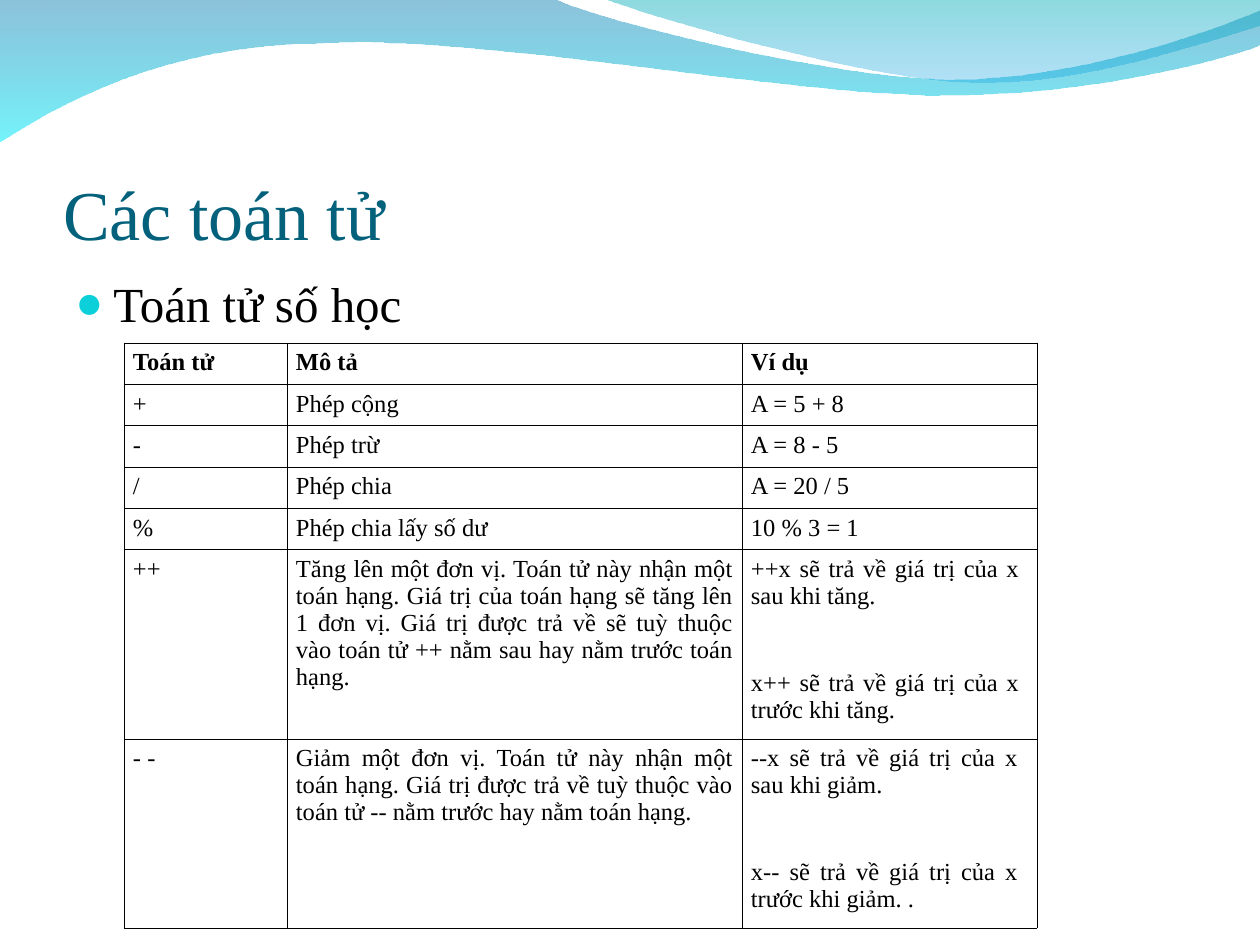
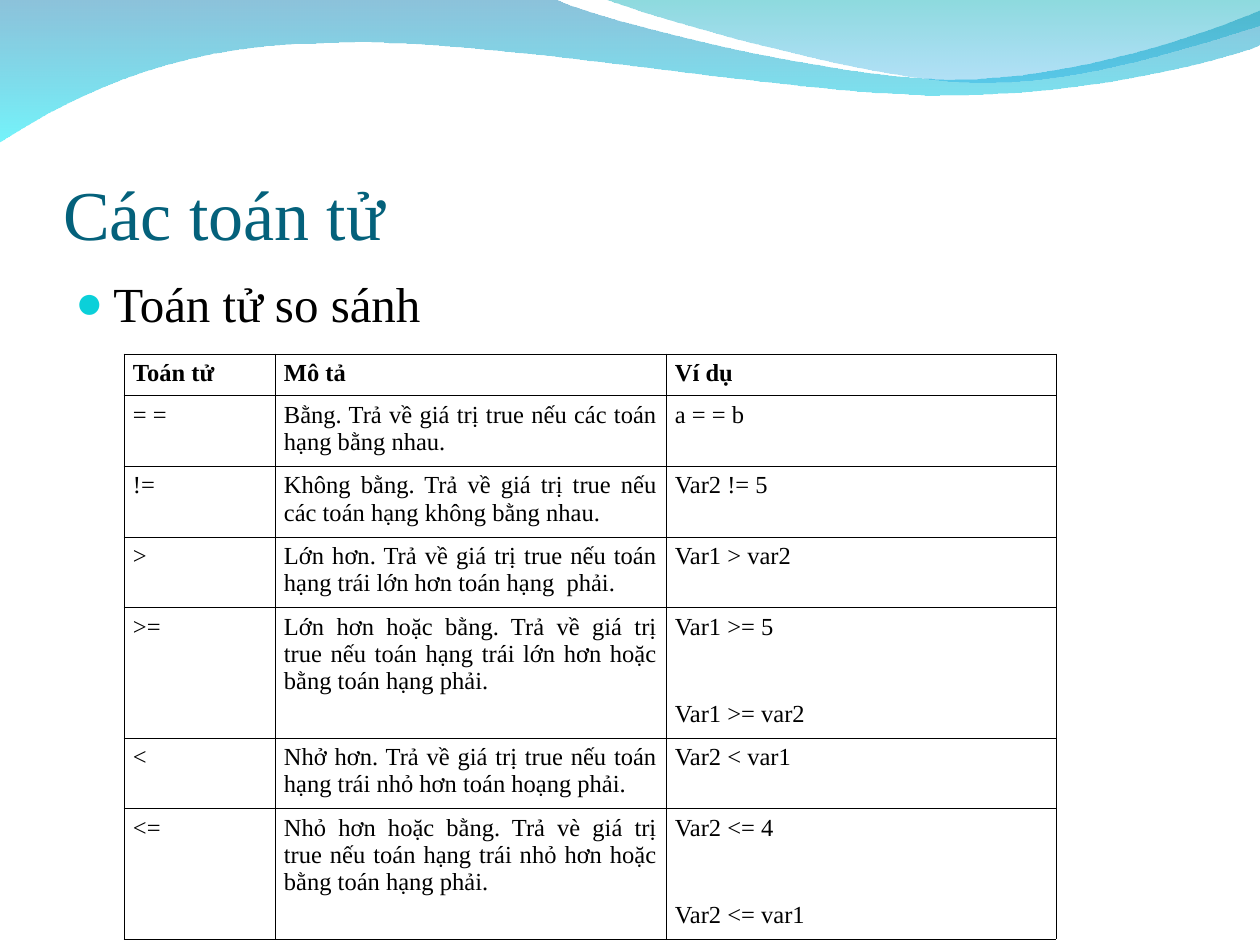
from lxml.etree import SubElement
from pptx import Presentation
from pptx.dml.color import RGBColor
from pptx.enum.text import MSO_ANCHOR, MSO_AUTO_SIZE, PP_ALIGN
from pptx.oxml import parse_xml
from pptx.oxml.ns import nsdecls, qn
from pptx.util import Emu, Pt

EMU_PER_PX = 914400 / 126
FONT = "Times New Roman"
BULLET_FONT = "Arial"
BLACK = "000000"
TITLE_COLOR = "04617B"
BULLET_COLOR = "0BD0D9"
TITLE = "Các toán tử"
HEADER = ("Toán tử", "Mô tả", "Ví dụ")
TABLE_LEFT = 124
EXAMPLE_GAP = 34

LOWER_WAVE = [
    [(0, -1)],
    [(554, -1)],
    [(600, 21), (837, 79), (955, 79)],
    [(1075, 79), (1207, 33), (1260, 11)],
    [(1261, 45)],
    [(1239, 55), (1096, 96), (940, 95)],
    [(784, 95), (481, 35), (324, 43)],
    [(163, 44), (58, 105), (-1, 142)],
    [(0, -1)],
]
UPPER_WAVE = [
    [(604, -1)],
    [(641, 14), (859, 78), (969, 82)],
    [(1079, 87), (1211, 40), (1260, 26)],
    [(1260, 0)],
    [(604, -1)],
]
WAVES = [
    (LOWER_WAVE, [("0079AF", 45), ("00EBF8", 55)]),
    (UPPER_WAVE, [("00ADB6", 45), ("009BE5", 30)]),
]

ARITHMETIC_ROWS = [
    ("+", "Phép cộng", "A = 5 + 8"),
    ("-", "Phép trừ", "A = 8 - 5"),
    ("/", "Phép chia", "A = 20 / 5"),
    ("%", "Phép chia lấy số dư", "10 % 3 = 1"),
    ("++",
     "Tăng lên một đơn vị. Toán tử này nhận một toán hạng. Giá trị của toán hạng sẽ tăng lên "
     "1 đơn vị. Giá trị được trả về sẽ tuỳ thuộc vào toán tử ++ nằm sau hay nằm trước toán hạng.",
     "++x sẽ trả về giá trị của x  sau khi tăng.\nx++ sẽ trả về giá trị của x  trước khi tăng."),
    ("- -",
     "Giảm một đơn vị. Toán tử này nhận một toán hạng. Giá trị được trả về tuỳ thuộc vào "
     "toán tử -- nằm trước hay nằm toán hạng.",
     "--x sẽ trả về giá trị của x  sau khi giảm.\nx-- sẽ trả về giá trị của x  trước khi giảm. ."),
]
COMPARISON_ROWS = [
    ("= =", "Bằng. Trả về giá trị true nếu các toán hạng bằng nhau.", "a = = b"),
    ("!=", "Không bằng. Trả về giá trị true nếu các toán hạng không bằng nhau.", "Var2 != 5"),
    (">", "Lớn hơn. Trả về giá trị true nếu toán hạng trái lớn hơn toán hạng  phải.",
     "Var1 > var2"),
    (">=",
     "Lớn hơn hoặc bằng. Trả về giá trị true nếu toán hạng trái lớn hơn hoặc bằng toán hạng phải.",
     "Var1 >= 5\nVar1 >= var2"),
    ("<", "Nhở hơn. Trả về giá trị true nếu toán hạng trái nhỏ hơn toán hoạng phải.",
     "Var2 < var1"),
    ("<=",
     "Nhỏ hơn hoặc bằng. Trả vè giá trị true nếu toán hạng trái nhỏ hơn hoặc bằng toán hạng phải.",
     "Var2 <= 4\nVar2 <= var1"),
]


def px(length):
    return Emu(round(length * EMU_PER_PX))


def color(code):
    return RGBColor.from_string(code)


def place(shape, left, top, width, height):
    shape.left, shape.top = px(left), px(top)
    shape.width, shape.height = px(width), px(height)


def style(font, size, code, bold=False):
    font.name, font.size, font.bold = FONT, Pt(size), bold
    font.color.rgb = color(code)


def bend_lines(wave, segments):
    lines = iter(list(wave.element.iter(qn("a:lnTo"))))
    for segment in segments:
        group = [next(lines) for point in segment]
        if len(group) == 3:
            curve = parse_xml(f'<a:cubicBezTo {nsdecls("a")}/>')
            group[0].addprevious(curve)
            for line in group:
                curve.append(line[0])
                line.getparent().remove(line)


def add_wave(page, segments, stops):
    start, *rest = segments
    builder = page.shapes.build_freeform(*map(px, start[0]))
    builder.add_line_segments([(px(x), px(y)) for segment in rest for x, y in segment])
    wave = builder.convert_to_shape()
    bend_lines(wave, rest)
    wave.shadow.inherit = False
    wave.line.fill.background()
    wave.fill.gradient()
    wave.fill.gradient_angle = 270
    for stop, (code, opacity) in zip(wave.fill.gradient_stops, stops):
        stop.color.rgb = color(code)
    for tint, (code, opacity) in zip(wave.element.iter(qn("a:srgbClr")), stops):
        SubElement(tint, qn("a:alpha"), val=str(opacity * 1000))
    return wave


def move_to_layout(page, waves):
    tree = page.slide_layout.shapes.element
    for index, wave in enumerate(waves):
        wave.element.nvSpPr.cNvPr.set("id", str(101 + index))
        tree.insert(2 + index, wave.element)


def add_title(page):
    title = page.shapes.title
    place(title, 63, 97, 1134, 158)
    frame = title.text_frame
    frame.text = TITLE
    frame.auto_size = MSO_AUTO_SIZE.NONE
    frame.vertical_anchor = MSO_ANCHOR.BOTTOM
    frame.margin_left = frame.margin_right = frame.margin_bottom = 0
    frame.margin_top = px(6)
    para = frame.paragraphs[0]
    para.alignment = PP_ALIGN.LEFT
    style(para.font, 40, TITLE_COLOR)


def add_bullet(page, text):
    box = page.shapes.add_textbox(px(63), px(267), px(1134), px(605))
    box.text_frame.word_wrap = True
    para = box.text_frame.paragraphs[0]
    para.text = text
    para.space_before = Pt(7)
    style(para.font, 28, BLACK)
    properties = para._p.get_or_add_pPr()
    properties.set("marL", str(px(38)))
    properties.set("indent", str(px(-38)))
    bullet = (
        f'<a:buClr {nsdecls("a")}><a:srgbClr val="{BULLET_COLOR}"/></a:buClr>',
        f'<a:buSzPct {nsdecls("a")} val="95000"/>',
        f'<a:buFont {nsdecls("a")} typeface="{BULLET_FONT}"/>',
        f'<a:buChar {nsdecls("a")} char="●"/>',
    )
    defaults = properties.find(qn("a:defRPr"))
    for part in bullet:
        defaults.addprevious(parse_xml(part))


def add_borders(cell):
    properties = cell._tc.get_or_add_tcPr()
    for index, side in enumerate("LRTB"):
        properties.insert(index, parse_xml(
            f'<a:ln{side} {nsdecls("a")} w="5715"><a:solidFill>'
            f'<a:srgbClr val="{BLACK}"/></a:solidFill></a:ln{side}>'))


def fill_cell(cell, text, bold):
    cell.text = text
    cell.margin_left = cell.margin_right = px(9)
    cell.margin_top = cell.margin_bottom = px(6)
    cell.fill.background()
    add_borders(cell)
    for index, para in enumerate(cell.text_frame.paragraphs):
        para.alignment = PP_ALIGN.JUSTIFY
        para.space_before = Pt(EXAMPLE_GAP if index else 0)
        for span in para.runs:
            style(span.font, 14, BLACK, bold)


def add_operator_table(page, top, widths, heights, rows):
    rows = [HEADER, *rows]
    frame = page.shapes.add_table(len(rows), len(widths), px(TABLE_LEFT), px(top),
                                  px(sum(widths)), px(sum(heights)))
    table = frame.table
    table.first_row = table.horz_banding = False
    for column, width in zip(table.columns, widths):
        column.width = px(width)
    for row, height, texts in zip(table.rows, heights, rows):
        row.height = px(height)
        for cell, text in zip(row.cells, texts):
            fill_cell(cell, text, bold=texts is HEADER)


def add_operator_page(deck, heading, *table):
    page = deck.slides.add_slide(deck.slide_layouts[5])
    add_title(page)
    add_bullet(page, heading)
    add_operator_table(page, *table)
    return page


def main():
    deck = Presentation()
    deck.slide_width, deck.slide_height = px(1260), px(945)
    page = add_operator_page(deck, "Toán tử số học", 343, (163, 455, 295),
                             [39] * 5 + [180] * 2, ARITHMETIC_ROWS)
    move_to_layout(page, [add_wave(page, *wave) for wave in WAVES])
    add_operator_page(deck, "Toán tử so sánh", 354, (151, 391, 390),
                      (39, 67, 69, 68, 127, 69, 126), COMPARISON_ROWS)
    deck.save("out.pptx")


if __name__ == "__main__":
    main()
